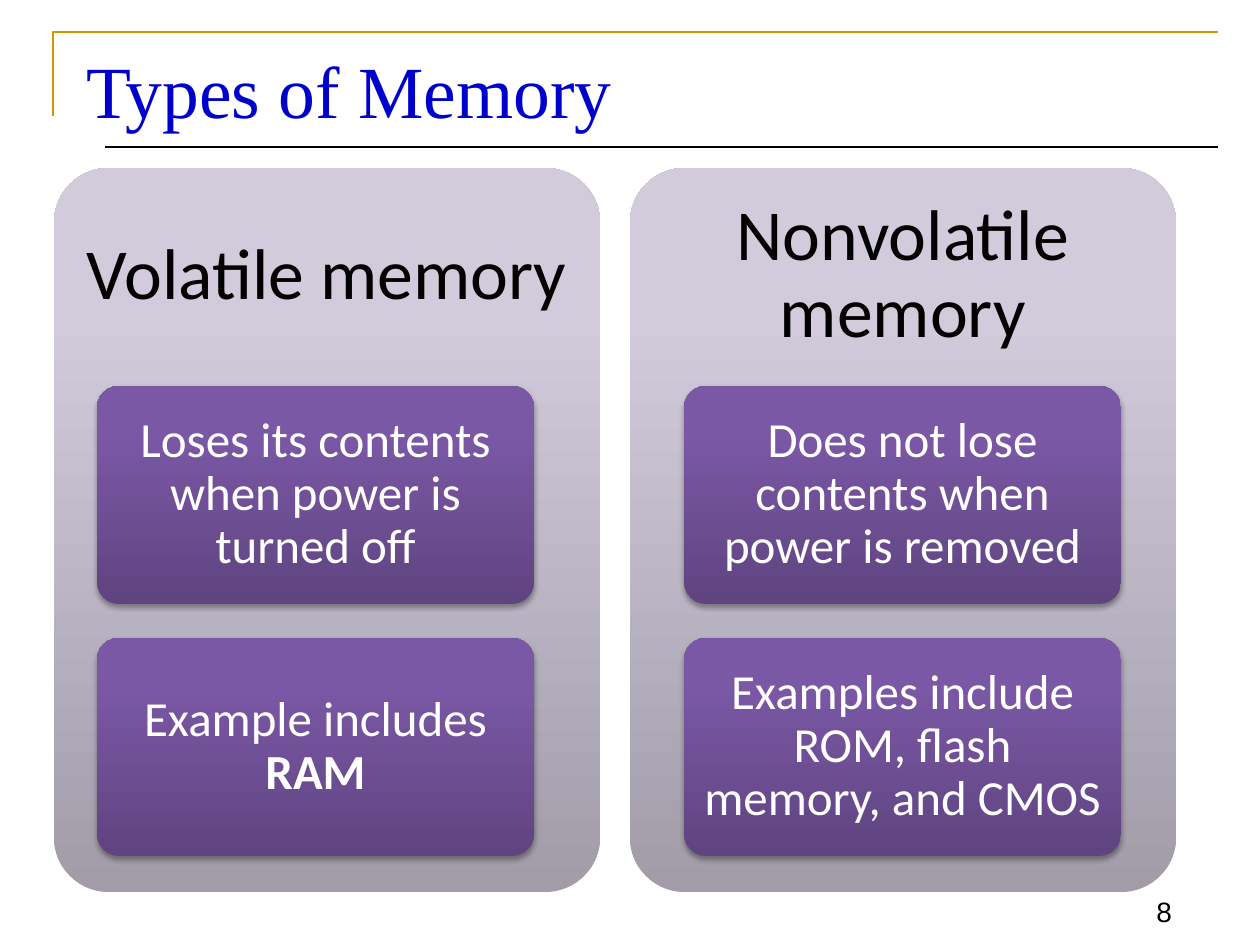
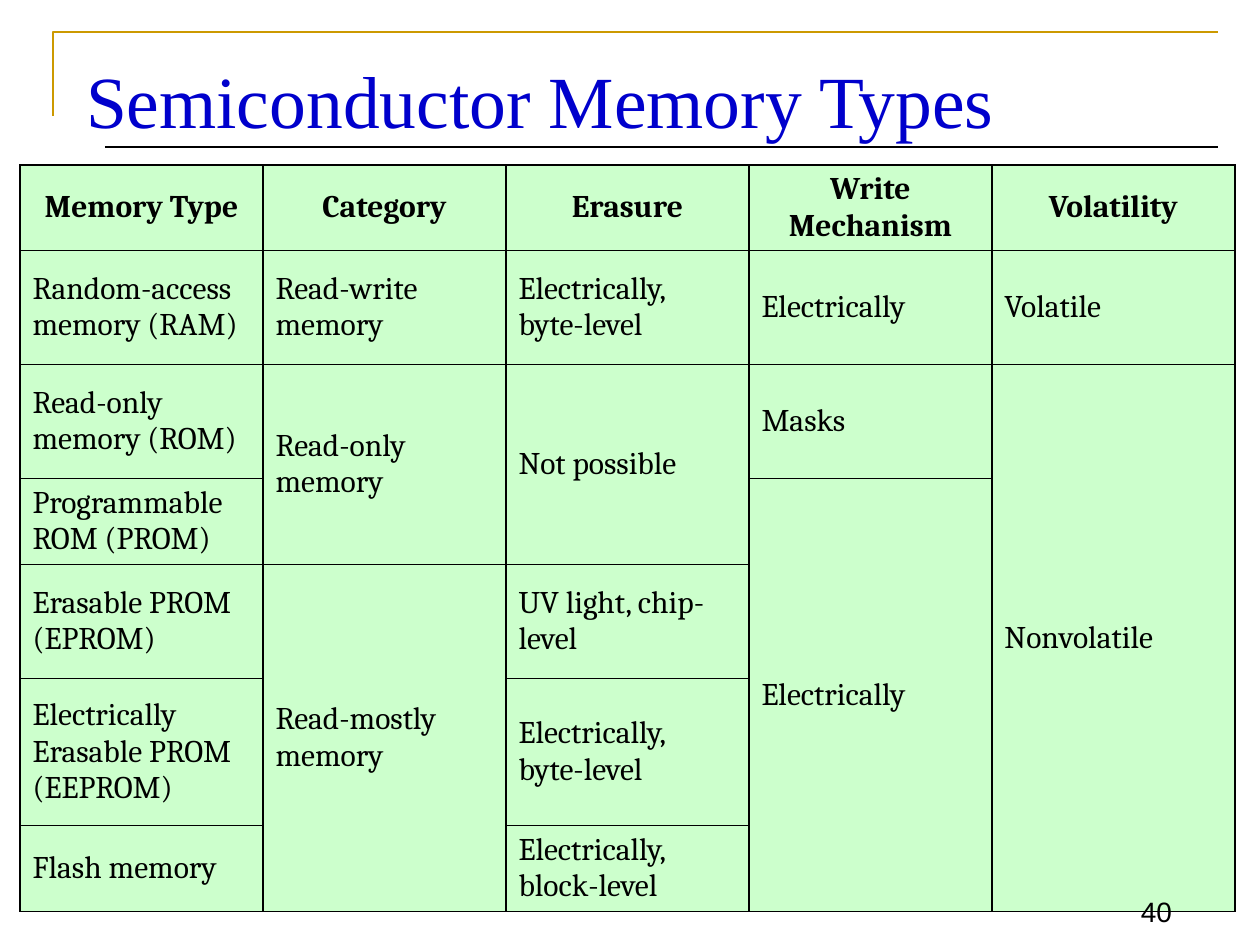
from copy import deepcopy

from lxml import etree
from pptx import Presentation
from pptx import util as u
from pptx.dml.color import RGBColor
from pptx.enum import shapes, text
from pptx.oxml import ns

# Shared scale, colours and fonts
EMU_PER_PX = 914400 / 126
BLACK, WHITE = "000000", "FFFFFF"
GOLD, TITLE_BLUE, CELL_GREEN = "CC9900", "0000CC", "CCFFCC"
PANEL_GRADIENT = [(0, "A19CA8"), (0.8, "D1CBDB"), (1, "D2CBDC")]
CARD_GRADIENT = [(0, "5F4480"), (0.8, "7B58A6"), (1, "7C57A8")]

# Slide 1 geometry
PANEL_WIDTH, PANEL_TOP, PANEL_HEIGHT = 546, 168, 724
CARD_WIDTH, CARD_HEIGHT, CARD_TOP, CARD_STEP = 437, 218, 386, 252
MEMORY_PANELS = [
    # panel left, card left, heading, cards (a card is a list of text, bold)
    (54, 97, "Volatile memory",
     [[("Loses its contents when power is turned off", False)],
      [("Example includes ", False), ("RAM", True)]]),
    (630, 684, "Nonvolatile memory",
     [[("Does not lose contents when power is removed", False)],
      [("Examples include ROM, flash memory, and CMOS", False)]]),
]

# Slide 2 table: None continues the cell above
COLUMN_WIDTH = 243
ROW_HEIGHTS = [85, 114, 114, 86, 114, 147, 86]
MEMORY_TABLE = [
    ["Memory Type", "Category", "Erasure", "Write Mechanism", "Volatility"],
    ["Random-access\vmemory (RAM)", "Read-write memory", "Electrically, byte-level",
     "Electrically", "Volatile"],
    ["Read-only\vmemory (ROM)", "Read-only memory", "Not possible", "Masks", "Nonvolatile"],
    ["Programmable\vROM (PROM)", None, None, "Electrically", None],
    ["Erasable PROM\v(EPROM)", "Read-mostly memory", "UV light, chip-level", None, None],
    ["Electrically Erasable PROM (EEPROM)", None, "Electrically, byte-level", None, None],
    ["Flash memory", None, "Electrically, block-level", None, None],
]


def px(length):
    return u.Emu(round(length * EMU_PER_PX))


def box(left, top, width, height):
    return [px(length) for length in (left, top, width, height)]


def color(value):
    return RGBColor.from_string(value)


def add_xml(parent, tag, **attributes):
    return etree.SubElement(parent, ns.qn(tag), attributes)


def format_runs(paragraph, font_name, size, font_color, bold=False):
    for run in paragraph.runs:
        run.font.name = font_name
        run.font.size = u.Pt(size)
        run.font.color.rgb = color(font_color)
        run.font.bold = bold


def set_frame(frame, anchor, horizontal_margin, vertical_margin):
    frame.word_wrap = True
    frame.auto_size = text.MSO_AUTO_SIZE.NONE
    frame.vertical_anchor = anchor
    frame.margin_left = frame.margin_right = px(horizontal_margin)
    frame.margin_top = frame.margin_bottom = px(vertical_margin)


def center_paragraph(paragraph):
    paragraph.alignment = text.PP_ALIGN.CENTER
    paragraph.line_spacing = 0.9


# Shared slide parts
def add_frame_lines(slide):
    builder = slide.shapes.build_freeform(53, 116, scale=EMU_PER_PX)
    builder.add_line_segments([(53, 32), (1218, 32)], close=False)
    corner = builder.convert_to_shape()
    corner.shadow.inherit = False
    corner.fill.background()
    corner.line.color.rgb = color(GOLD)
    corner.line.width = u.Pt(1.5)

    rule = slide.shapes.add_connector(
        shapes.MSO_CONNECTOR.STRAIGHT, px(105), px(147), px(1218), px(147))
    rule.line.color.rgb = color(BLACK)
    rule.line.width = u.Pt(0.75)
    add_xml(rule.element.spPr, "a:effectLst")


def set_title(slide, wording, left, top, width, height):
    title = slide.shapes.title
    title.left, title.top, title.width, title.height = box(left, top, width, height)
    frame = title.text_frame
    frame.text = wording
    set_frame(frame, text.MSO_ANCHOR.TOP, 13, 13)
    frame.paragraphs[0].alignment = text.PP_ALIGN.LEFT
    format_runs(frame.paragraphs[0], "Times New Roman", 42, TITLE_BLUE)


def add_page_number(slide, number):
    frame = slide.shapes.add_textbox(*box(1102, 872, 83, 62)).text_frame
    frame.text = str(number)
    set_frame(frame, text.MSO_ANCHOR.BOTTOM, 13, 6)
    frame.paragraphs[0].alignment = text.PP_ALIGN.RIGHT
    format_runs(frame.paragraphs[0], "Arial", 16, BLACK)


def add_slide(presentation, wording, title_box):
    slide = presentation.slides.add_slide(presentation.slide_layouts[5])
    add_frame_lines(slide)
    set_title(slide, wording, *title_box)
    return slide


# Panels and cards
def add_gradient_box(slide, left, top, width, height, gradient):
    shape = slide.shapes.add_shape(
        shapes.MSO_SHAPE.ROUNDED_RECTANGLE, *box(left, top, width, height))
    shape.adjustments[0] = 0.1
    shape.shadow.inherit = False
    shape.line.fill.background()
    shape.fill.gradient()
    shape.fill.gradient_angle = 90
    stop_list = shape.element.find(".//" + ns.qn("a:gsLst"))
    stop_list.append(deepcopy(stop_list[-1]))
    for stop, (position, value) in zip(shape.fill.gradient_stops, gradient):
        stop.position = position
        stop.color.rgb = color(value)
    return shape


def add_drop_shadow(shape):
    effects = shape.element.spPr.find(ns.qn("a:effectLst"))
    shadow = add_xml(effects, "a:outerShdw", blurRad="40000", dist="23000",
                     dir="5400000", rotWithShape="0")
    shadow_color = add_xml(shadow, "a:srgbClr", val=BLACK)
    add_xml(shadow_color, "a:alpha", val="35000")


def add_card(slide, left, top, runs):
    card = add_gradient_box(slide, left, top, CARD_WIDTH, CARD_HEIGHT, CARD_GRADIENT)
    add_drop_shadow(card)
    set_frame(card.text_frame, text.MSO_ANCHOR.MIDDLE, 10, 8)
    paragraph = card.text_frame.paragraphs[0]
    center_paragraph(paragraph)
    for wording, _ in runs:
        paragraph.add_run().text = wording
    format_runs(paragraph, "Calibri", 28, WHITE)
    for run, (_, bold) in zip(paragraph.runs, runs):
        run.font.bold = bold


def add_panel(slide, left, card_left, heading, cards):
    add_gradient_box(slide, left, PANEL_TOP, PANEL_WIDTH, PANEL_HEIGHT, PANEL_GRADIENT)
    frame = slide.shapes.add_textbox(
        *box(left + 6, PANEL_TOP + 6, PANEL_WIDTH - 12, 204)).text_frame
    frame.text = heading
    set_frame(frame, text.MSO_ANCHOR.MIDDLE, 21, 21)
    center_paragraph(frame.paragraphs[0])
    format_runs(frame.paragraphs[0], "Calibri", 41, BLACK)
    for index, runs in enumerate(cards):
        add_card(slide, card_left, CARD_TOP + index * CARD_STEP, runs)


# Table
def set_borders(cell):
    properties = cell._tc.get_or_add_tcPr()
    for side in ("a:lnL", "a:lnR", "a:lnT", "a:lnB"):
        line = add_xml(properties, side, w=str(u.Pt(1)))
        add_xml(add_xml(line, "a:solidFill"), "a:srgbClr", val=BLACK)


def format_cell(cell, is_header):
    set_borders(cell)
    cell.fill.solid()
    cell.fill.fore_color.rgb = color(CELL_GREEN)
    cell.vertical_anchor = text.MSO_ANCHOR.MIDDLE
    paragraph = cell.text_frame.paragraphs[0]
    paragraph.alignment = text.PP_ALIGN.CENTER if is_header else text.PP_ALIGN.LEFT
    format_runs(paragraph, "Cambria", 18, BLACK, bold=is_header)


def add_memory_table(slide, left, top, rows):
    column_count = len(rows[0])
    table = slide.shapes.add_table(
        len(rows), column_count,
        *box(left, top, column_count * COLUMN_WIDTH, sum(ROW_HEIGHTS))).table
    table.horz_banding = False
    for column in table.columns:
        column.width = px(COLUMN_WIDTH)
    for row, height in zip(table.rows, ROW_HEIGHTS):
        row.height = px(height)
    for column_index in range(column_count):
        span_start = 0
        for row_index, row in enumerate(rows):
            cell = table.cell(row_index, column_index)
            if row[column_index] is not None:
                span_start = row_index
                cell.text = row[column_index]
            format_cell(cell, row_index == 0)
            is_last = row_index + 1 == len(rows) or rows[row_index + 1][column_index] is not None
            if is_last and span_start < row_index:
                table.cell(span_start, column_index).merge(cell)


def main():
    presentation = Presentation()
    presentation.slide_width, presentation.slide_height = px(1260), px(945)

    # Slide 1: two panels of cards
    slide = add_slide(presentation, "Types of Memory", (73, 32, 977, 126))
    for panel in MEMORY_PANELS:
        add_panel(slide, *panel)
    add_page_number(slide, 8)

    # Slide 2: comparison table
    slide = add_slide(presentation, "Semiconductor Memory Types", (73, 42, 1144, 115))
    add_memory_table(slide, 20, 165, MEMORY_TABLE)
    add_page_number(slide, 40)

    presentation.save("out.pptx")


if __name__ == "__main__":
    main()
